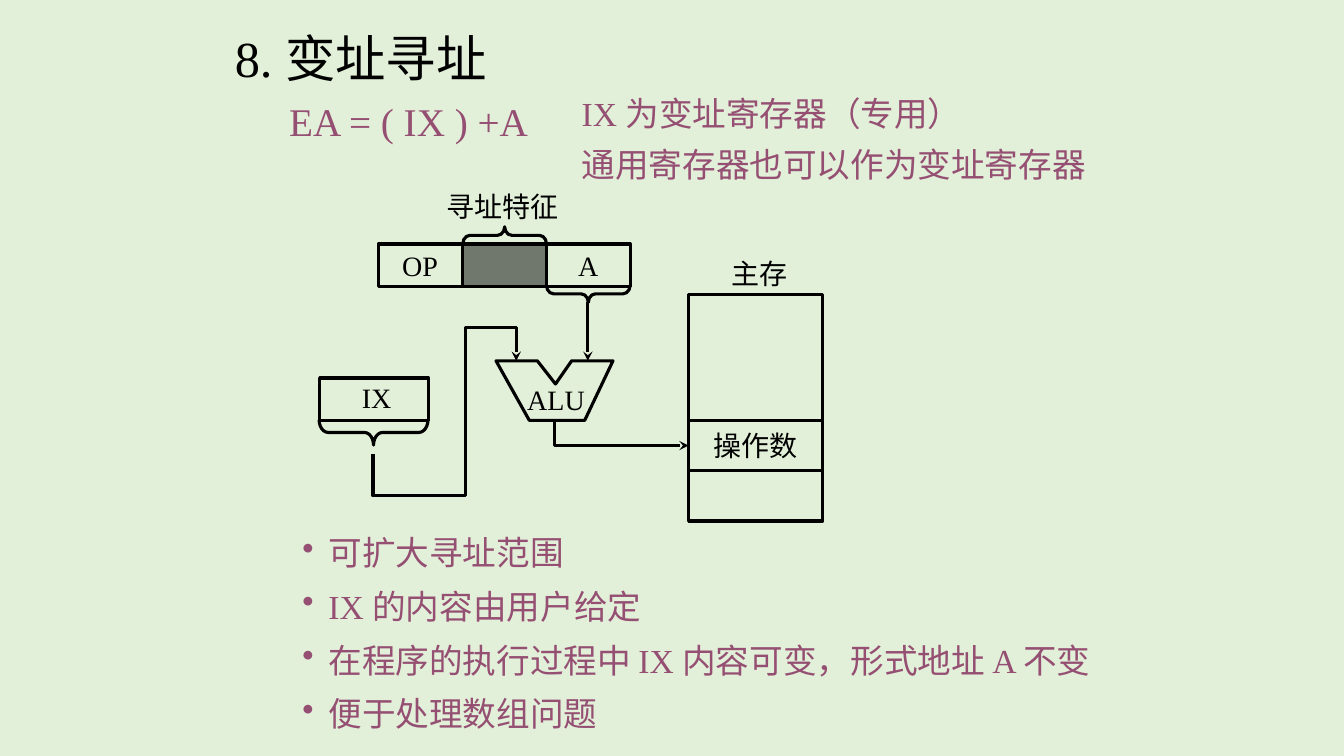
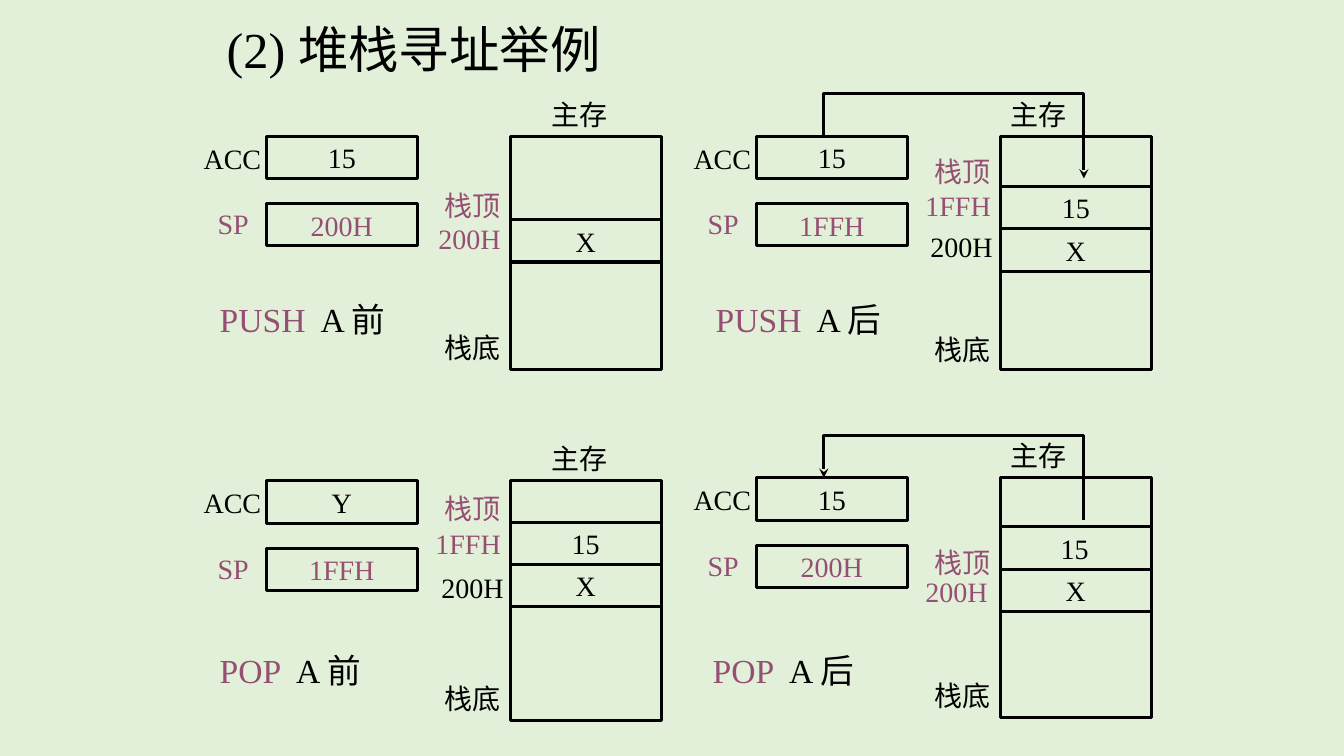
"""Build two slides on indexed addressing and stack addressing."""
import pptx
import pptx.dml.color
import pptx.enum.shapes
import pptx.enum.text
import pptx.oxml
import pptx.oxml.ns
import pptx.util

Inches = pptx.util.Inches
SHAPES = pptx.enum.shapes.MSO_SHAPE
FONT = "Times New Roman"
BACKGROUND, INK, PLUM = "E2F0D9", "000000", "954F72"

INDEXED_TITLE = ("8. 变址寻址", 2.23, 0.22, 3.65)
FORMULA = ("EA = ( IX ) +A", 2.77, 0.92, 2.65)
REMARKS = ["IX 为变址寄存器（专用）", "通用寄存器也可以作为变址寄存器"]
BULLETS = [
    "可扩大寻址范围",
    "IX 的内容由用户给定",
    "在程序的执行过程中 IX 内容可变，形式地址 A 不变",
    "便于处理数组问题",
]
INSTRUCTION_FIELDS = ["OP", "", "A"]
MEMORY_BLOCKS = [("", 1.25), ("操作数", 0.5), ("", 0.5)]
DIAGRAM_LABELS = [
    ("主存", 7.16, 2.5),
    ("寻址特征", 4.33, 1.83),
    ("ALU", 5.13, 3.75),
    ("IX", 3.49, 3.73),
]
BRACES = [
    (4.92, 1.92, 0.17, 0.83, 90, 0.417),
    (5.75, 2.5, 0.17, 0.83, 270, 0.417),
    (3.58, 3.75, 0.25, 1.08, 270, 0.361),
]
ALU_OUTLINE = [(4.92, 3.58), (5.33, 3.58), (5.51, 3.81), (5.67, 3.58),
               (6.08, 3.58), (5.8, 4.17), (5.25, 4.17)]
ALU_TO_MEMORY = [(5.5, 4.17), (5.5, 4.42), (6.83, 4.42)]
INDEX_TO_ALU = [(3.7, 4.5), (3.7, 4.92), (4.62, 4.92),
                (4.62, 3.25), (5.12, 3.25), (5.12, 3.58)]

STACK_TITLE = ("(2) 堆栈寻址举例", 2.15, 0.13, 4.52)
LABEL_WIDTHS = {"ACC": 0.81, "SP": 0.53, "200H": 0.83, "1FFH": 0.86, "栈顶": 0.76,
                "栈底": 0.76, "主存": 0.76, "寻址特征": 1.32, "ALU": 0.79, "IX": 0.51}
PANELS = [
    dict(left=1.92, top=1.35, acc="15", pointer="200H", height=2.32,
         cells=[("X", 0.83)], memory_label=(3.45, -0.43), stack_top=0.47, stack_bottom=1.88,
         addresses=[("200H", 2.33, 0.8, PLUM)],
         caption=("PUSH", "  A 前", 2.08, 2.92, 1.92)),
    dict(left=6.78, top=1.35, acc="15", pointer="1FFH", height=2.32,
         cells=[("15", 0.5), ("X", 0.92)], memory_label=(3.14, -0.43),
         stack_top=0.13, stack_bottom=1.9,
         addresses=[("200H", 2.35, 0.88, INK), ("1FFH", 2.3, 0.47, PLUM)],
         caption=("PUSH", "  A 后", 7, 2.92, 1.92), arrow="tailEnd"),
    dict(left=1.92, top=4.77, acc="Y", pointer="1FFH", height=2.38,
         cells=[("15", 0.41), ("X", 0.83)], memory_label=(3.45, -0.44),
         stack_top=0.06, stack_bottom=1.94,
         addresses=[("200H", 2.36, 0.84, INK), ("1FFH", 2.3, 0.4, PLUM)],
         caption=("POP", "  A 前", 2.08, 6.4, 1.6)),
    dict(left=6.78, top=4.74, acc="15", pointer="200H", height=2.38,
         cells=[("X", 0.91)], memory_label=(3.14, -0.44), stack_top=0.62, stack_bottom=1.94,
         addresses=[("200H", 2.3, 0.91, PLUM)],
         caption=("POP", "  A 后", 6.97, 6.4, 1.6), arrow="headEnd", popped="15"),
]
CELL_WIDTH, CELL_HEIGHT = 1.5, 0.42


def color(value):
    return pptx.dml.color.RGBColor.from_string(value)


def add_run(paragraph, text, size, tint):
    run = paragraph.add_run()
    run.text = text
    run.font.size = pptx.util.Pt(size)
    run.font.name = FONT
    run.font.color.rgb = color(tint)


def add_text(slide, runs, left, top, width, size=20, wrap=False):
    """Add a text box from (text, colour) runs and return its paragraph."""
    height = {20: 0.43, 24: 0.5, 28: 0.57, 36: 0.7}[size]
    box = slide.shapes.add_textbox(Inches(left), Inches(top), Inches(width), Inches(height))
    frame = box.text_frame
    frame.word_wrap = wrap
    frame.auto_size = pptx.enum.text.MSO_AUTO_SIZE.SHAPE_TO_FIT_TEXT
    paragraph = frame.paragraphs[0]
    for text, tint in runs:
        add_run(paragraph, text, size, tint)
    return paragraph


def add_title(slide, text, left, top, width):
    add_text(slide, [(text, INK)], left, top, width, 36, True)


def add_label(slide, text, left, top, tint=INK):
    add_text(slide, [(text, tint)], left, top, LABEL_WIDTHS[text])


def style_line(shape, arrow=None):
    shape.line.color.rgb = color(INK)
    shape.line.width = pptx.util.Pt(2.25)
    if arrow:
        line = shape._element.spPr.find(pptx.oxml.ns.qn("a:ln"))
        line.append(pptx.oxml.parse_xml(
            f'<a:{arrow} {pptx.oxml.ns.nsdecls("a")} type="stealth"/>'))


def style_outline(shape, arrow=None):
    shape.shadow.inherit = False
    shape.fill.background()
    style_line(shape, arrow)


def add_cell(slide, text, left, top, width, height, tint=INK):
    cell = slide.shapes.add_shape(SHAPES.RECTANGLE, Inches(left), Inches(top),
                                  Inches(width), Inches(height))
    style_outline(cell)
    if text:
        frame = cell.text_frame
        frame.word_wrap = False
        frame.vertical_anchor = pptx.enum.text.MSO_ANCHOR.MIDDLE
        frame.paragraphs[0].alignment = pptx.enum.text.PP_ALIGN.CENTER
        add_run(frame.paragraphs[0], text, 20, tint)
    return cell


def add_outline(slide, points, close=False, arrow=None):
    vertices = [(Inches(x), Inches(y)) for x, y in points]
    builder = slide.shapes.build_freeform(*vertices[0])
    builder.add_line_segments(vertices[1:], close=close)
    style_outline(builder.convert_to_shape(), arrow)


def add_line(slide, start, end, arrow=None):
    line = slide.shapes.add_connector(pptx.enum.shapes.MSO_CONNECTOR.STRAIGHT,
                                      *[Inches(value) for value in start + end])
    style_line(line, arrow)
    line._element.spPr.append(pptx.oxml.parse_xml(
        f'<a:effectLst {pptx.oxml.ns.nsdecls("a")}/>'))


def add_brace(slide, left, top, width, height, rotation, curve):
    brace = slide.shapes.add_shape(SHAPES.LEFT_BRACE, Inches(left), Inches(top),
                                   Inches(width), Inches(height))
    brace.rotation = rotation
    brace.adjustments[0] = curve
    brace.adjustments[1] = 0.5
    style_outline(brace)


def add_bullet(slide, text, top):
    paragraph = add_text(slide, [(text, PLUM)], 2.9, top, 8.43, 24, True)
    properties = paragraph._p.get_or_add_pPr()
    properties.set("marL", str(Inches(0.26)))
    properties.set("indent", str(-Inches(0.26)))
    properties.append(pptx.oxml.parse_xml(
        f'<a:buChar {pptx.oxml.ns.nsdecls("a")} char="•"/>'))


def build_indexed(slide):
    add_title(slide, *INDEXED_TITLE)
    text, *place = FORMULA
    add_text(slide, [(text, PLUM)], *place, 28)
    for index, remark in enumerate(REMARKS):
        paragraph = add_text(slide, [(remark, PLUM)], 5.67, 0.92 + 0.5 * index, 5.58, 24, True)
        paragraph.line_spacing = 0.9
    for index, field in enumerate(INSTRUCTION_FIELDS):
        cell = add_cell(slide, field, 3.75 + index * 2.5 / 3, 2.42, 2.5 / 3, CELL_HEIGHT)
        if not field:
            cell.fill.solid()
            cell.fill.fore_color.rgb = color(INK)
            tone = cell._element.spPr.find(".//" + pptx.oxml.ns.qn("a:srgbClr"))
            tone.append(pptx.oxml.parse_xml(
                f'<a:alpha {pptx.oxml.ns.nsdecls("a")} val="50000"/>'))
    top = 2.92
    for text, height in MEMORY_BLOCKS:
        add_cell(slide, text, 6.83, top, 1.33, height)
        top += height
    add_cell(slide, "", 3.17, 3.75, 1.08, CELL_HEIGHT)
    for brace in BRACES:
        add_brace(slide, *brace)
    add_outline(slide, ALU_OUTLINE, close=True)
    for label in DIAGRAM_LABELS:
        add_label(slide, *label)
    add_line(slide, (5.83, 3), (5.83, 3.58), "tailEnd")
    for route in (ALU_TO_MEMORY, INDEX_TO_ALU):
        add_outline(slide, route, arrow="tailEnd")
    for index, bullet in enumerate(BULLETS):
        add_bullet(slide, bullet, 5.23 + 0.533 * index)


def build_panel(slide, panel):
    left, top = panel["left"], panel["top"]
    memory_left = left + 3.14
    add_cell(slide, panel["acc"], left + 0.72, top, CELL_WIDTH, CELL_HEIGHT)
    add_cell(slide, panel["pointer"], left + 0.72, top + 0.67, CELL_WIDTH, CELL_HEIGHT, PLUM)
    add_cell(slide, "", memory_left, top, CELL_WIDTH, panel["height"])
    for text, offset in panel["cells"]:
        add_cell(slide, text, memory_left, top + offset, CELL_WIDTH, CELL_HEIGHT)
    labels = [("ACC", 0, 0, INK), ("SP", 0.14, 0.65, PLUM),
              ("主存", *panel["memory_label"], INK),
              ("栈顶", 2.39, panel["stack_top"], PLUM),
              ("栈底", 2.39, panel["stack_bottom"], INK)]
    for text, right, down, tint in labels + panel["addresses"]:
        add_label(slide, text, left + right, top + down, tint)
    if "arrow" in panel:
        route = [(1.39, 0), (1.39, -0.42), (3.97, -0.42), (3.97, 0.42)]
        add_outline(slide, [(left + x, top + y) for x, y in route], arrow=panel["arrow"])
    if "popped" in panel:
        line_top = top + 0.48
        add_line(slide, (memory_left, line_top), (memory_left + CELL_WIDTH, line_top))
        add_text(slide, [(panel["popped"], INK)], memory_left + 0.5, line_top, 0.92, wrap=True)
    command, operand, *place = panel["caption"]
    add_text(slide, [(command, PLUM), (operand, INK)], *place, 24, wrap=command == "POP")


def build_stack(slide):
    add_title(slide, *STACK_TITLE)
    for panel in PANELS:
        build_panel(slide, panel)


presentation = pptx.Presentation()
presentation.slide_width, presentation.slide_height = Inches(13.33), Inches(7.5)
master_fill = presentation.slide_master.background.fill
master_fill.solid()
master_fill.fore_color.rgb = color(BACKGROUND)
for build in (build_indexed, build_stack):
    build(presentation.slides.add_slide(presentation.slide_layouts[6]))
presentation.save("out.pptx")
